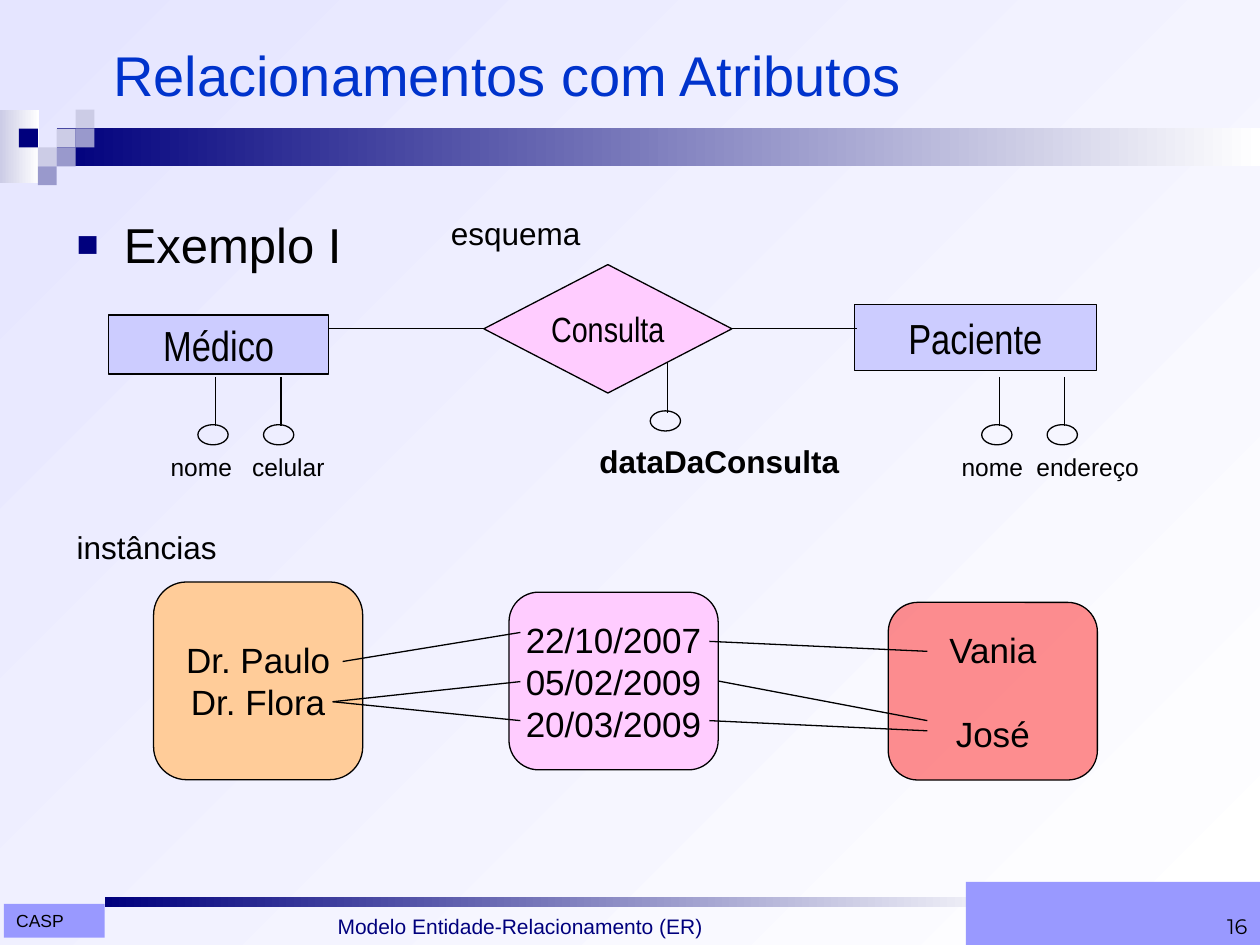
from dataclasses import dataclass
from typing import Optional

from lxml.etree import SubElement
from pptx import Presentation
from pptx.dml.color import RGBColor
from pptx.enum.shapes import MSO_CONNECTOR, MSO_SHAPE as Form
from pptx.enum.text import MSO_ANCHOR as Anchor, PP_ALIGN as Align
from pptx.oxml.ns import qn
from pptx.util import Pt

BLACK = RGBColor(0x00, 0x00, 0x00)
WHITE = RGBColor(0xFF, 0xFF, 0xFF)
NAVY = RGBColor(0x00, 0x00, 0x7D)
TITLE_BLUE = RGBColor(0x00, 0x33, 0xCC)
MIST = RGBColor(0xE5, 0xE5, 0xFF)
PALE = RGBColor(0xCC, 0xCC, 0xE6)
SLATE = RGBColor(0x99, 0x99, 0xCC)
VIOLET = RGBColor(0x99, 0x99, 0xFF)
LAVENDER = RGBColor(0xCC, 0xCC, 0xFF)
PINK = RGBColor(0xFF, 0xCC, 0xFF)
PEACH = RGBColor(0xFF, 0xCC, 0x99)
RED = RGBColor(0xFF, 0x21, 0x21)

LINE_WIDTH = 0.75
TILE = 10.8
TILE_LEFT, TILE_TOP = 21.6, 62.64


@dataclass(frozen=True)
class Frame:
    left: float
    top: float
    width: float
    height: float

    def lengths(self):
        return Pt(self.left), Pt(self.top), Pt(self.width), Pt(self.height)


@dataclass(frozen=True)
class Label:
    text: str
    frame: Frame
    size: float
    color: RGBColor = BLACK
    bold: bool = False
    anchor: Anchor = Anchor.TOP


@dataclass(frozen=True)
class Node:
    lines: tuple
    frame: Frame
    form: Form
    fill: RGBColor
    size: float = 20
    font: str = "Arial"
    gap: float = 0
    opacity: Optional[int] = None


@dataclass(frozen=True)
class Attribute:
    x: float
    top: float


def write(box, lines, size, color=BLACK, font="Arial", bold=False,
          align=Align.LEFT, anchor=Anchor.TOP, gap=0):
    frame = box.text_frame
    frame.word_wrap = True
    frame.vertical_anchor = anchor
    style = {"name": font, "size": Pt(size), "bold": bold}
    for index, line in enumerate(lines):
        para = frame.paragraphs[0] if index == 0 else frame.add_paragraph()
        para.alignment = align
        if index and gap:
            para.space_before = Pt(gap)
        span = para.add_run()
        span.text = line
        for name, value in style.items():
            setattr(span.font, name, value)
        span.font.color.rgb = color


def fade(fill, start: RGBColor, angle: float = 0):
    fill.gradient()
    fill.gradient_angle = angle
    for stop, color in zip(fill.gradient_stops, (start, WHITE)):
        stop.color.rgb = color


def add_form(page, form: Form, frame: Frame, fill: Optional[RGBColor] = None,
             outlined: bool = False):
    shape = page.shapes.add_shape(form, *frame.lengths())
    shape.shadow.inherit = False
    if fill is None:
        shape.fill.background()
    else:
        shape.fill.solid()
        shape.fill.fore_color.rgb = fill
    if outlined:
        shape.line.color.rgb = BLACK
        shape.line.width = Pt(LINE_WIDTH)
    else:
        shape.line.fill.background()
    return shape


def add_band(page, frame: Frame, start: RGBColor):
    fade(add_form(page, Form.RECTANGLE, frame).fill, start)


def add_label(page, label: Label):
    box = page.shapes.add_textbox(*label.frame.lengths())
    write(box, [label.text], label.size, label.color, bold=label.bold, anchor=label.anchor)


def add_node(page, node: Node):
    shape = add_form(page, node.form, node.frame, node.fill, outlined=True)
    write(shape, node.lines, node.size, font=node.font, align=Align.CENTER,
          anchor=Anchor.MIDDLE, gap=node.gap)
    shape.text_frame.word_wrap = False
    if node.opacity is not None:
        tint = shape.fill._xPr.find(qn("a:solidFill"))[0]
        SubElement(tint, qn("a:alpha"), val=str(node.opacity * 1000))
    return shape


def add_line(page, x1: float, y1: float, x2: float, y2: float):
    line = page.shapes.add_connector(
        MSO_CONNECTOR.STRAIGHT, Pt(x1), Pt(y1), Pt(x2), Pt(y2))
    line.line.color.rgb = BLACK
    line.line.width = Pt(LINE_WIDTH)
    SubElement(line._element.spPr, qn("a:effectLst"))
    return line


def add_attribute(page, item: Attribute):
    add_line(page, item.x, item.top, item.x, item.top + 28.4)
    add_form(page, Form.OVAL, Frame(item.x - 10, item.top + 27.4, 17.3, 11.5), outlined=True)


def add_bullet_text(page, text: str, frame: Frame):
    box = page.shapes.add_textbox(*frame.lengths())
    marks = box.text_frame.paragraphs[0]._p.get_or_add_pPr()
    marks.set("marL", str(Pt(27)))
    marks.set("indent", str(-Pt(27)))
    SubElement(SubElement(marks, qn("a:buClr")), qn("a:srgbClr"), val=str(NAVY))
    SubElement(marks, qn("a:buSzPct"), val="75000")
    SubElement(marks, qn("a:buFont"), typeface="Arial")
    SubElement(marks, qn("a:buChar"), char="■")
    write(box, [text], 28)


def add_decoration(page):
    fade(page.background.fill, MIST, 315)
    add_band(page, Frame(0, 62.64, 22.32, 41.76), PALE)
    add_band(page, Frame(32.4, 73.44, 687.6, 21.6), NAVY)
    tiles = [(1, 1, PALE), (2, 0, PALE), (2, 1, SLATE), (0, 2, PALE),
             (-1, 1, NAVY), (1, 2, SLATE), (0, 3, SLATE)]
    for column, row, color in tiles:
        add_form(page, Form.RECTANGLE, Frame(
            TILE_LEFT + column * TILE, TILE_TOP + row * TILE, TILE, TILE), color)
    add_band(page, Frame(59.8, 512.6, 531.4, 5.8), NAVY)
    course = add_form(page, Form.RECTANGLE, Frame(2.2, 516.5, 57.6, 19.4), VIOLET)
    write(course, ["CASP"], 10)
    number = add_form(page, Form.RECTANGLE, Frame(552, 504, 168, 36), VIOLET)
    write(number, ["16"], 12, font="Montserrat", align=Align.RIGHT, anchor=Anchor.BOTTOM)


def add_schema(page):
    entity = {"form": Form.RECTANGLE, "fill": LAVENDER, "size": 24, "font": "Arial Narrow"}
    add_node(page, Node(("Médico",), Frame(61.9, 180, 126, 33.8), **entity))
    add_node(page, Node(("Paciente",), Frame(488.2, 174.2, 138.2, 37.4), **entity))
    visit = add_node(page, Node(("Consulta",), Frame(276.5, 151.2, 141.8, 73.4),
                                Form.FLOWCHART_DECISION, PINK, font="Arial Narrow"))
    add_line(page, 188.3, 187.9, 276.5, 187.9).end_connect(visit, 1)
    add_line(page, 418.3, 187.9, 489.6, 187.9).begin_connect(visit, 3)
    add_attribute(page, Attribute(381.6, 207.4))
    for x in (123.1, 160.6, 571, 608.4):
        add_attribute(page, Attribute(x, 215.3))


def add_instances(page):
    card = Form.ROUNDED_RECTANGLE
    add_node(page, Node(("Dr. Paulo", "Dr. Flora"), Frame(87.8, 332.6, 119.5, 113), card, PEACH))
    add_node(page, Node(("Vania", "José"), Frame(507.6, 344.2, 119.5, 101.5), card, RED,
                        gap=24, opacity=50))
    dates = add_node(page, Node(("22/10/2007", "05/02/2009", "20/03/2009"),
                                Frame(290.9, 338.4, 119.5, 101.5), card, PINK))
    for ends in [(195.8, 378, 297.4, 361.4), (529.9, 372.2, 405.4, 366.5),
                 (190.1, 401, 297.4, 389.5), (190.1, 401, 297.4, 411.8),
                 (529.9, 417.6, 405.4, 411.8)]:
        add_line(page, *ends)
    add_line(page, 529.9, 411.8, 410.4, 389.2).end_connect(dates, 3)


def main():
    deck = Presentation()
    deck.slide_width, deck.slide_height = Pt(720), Pt(540)
    page = deck.slides.add_slide(deck.slide_layouts[6])
    add_decoration(page)
    add_bullet_text(page, "Exemplo I", Frame(36.7, 119, 230, 42))
    add_schema(page)
    add_instances(page)
    for label in [
        Label("Relacionamentos com Atributos", Frame(57.6, 9.4, 648, 65.5), 32, TITLE_BLUE,
              anchor=Anchor.MIDDLE),
        Label("Modelo Entidade-Relacionamento (ER)", Frame(185.8, 502.6, 332.6, 37.4), 12, NAVY,
              anchor=Anchor.BOTTOM),
        Label("esquema", Frame(250.6, 118.8, 94, 28.8), 18),
        Label("instâncias", Frame(36.7, 298.1, 100, 28.8), 18),
        Label("dataDaConsulta", Frame(335.5, 249.1, 158, 28.8), 18, bold=True),
        Label("nome", Frame(90.4, 254.9, 54, 24.5), 14),
        Label("celular", Frame(137, 254.9, 62, 24.5), 14),
        Label("nome", Frame(542.4, 254.9, 54, 24.5), 14),
        Label("endereço", Frame(585.2, 254.9, 80, 24.5), 14),
    ]:
        add_label(page, label)
    deck.save("out.pptx")


if __name__ == "__main__":
    main()
